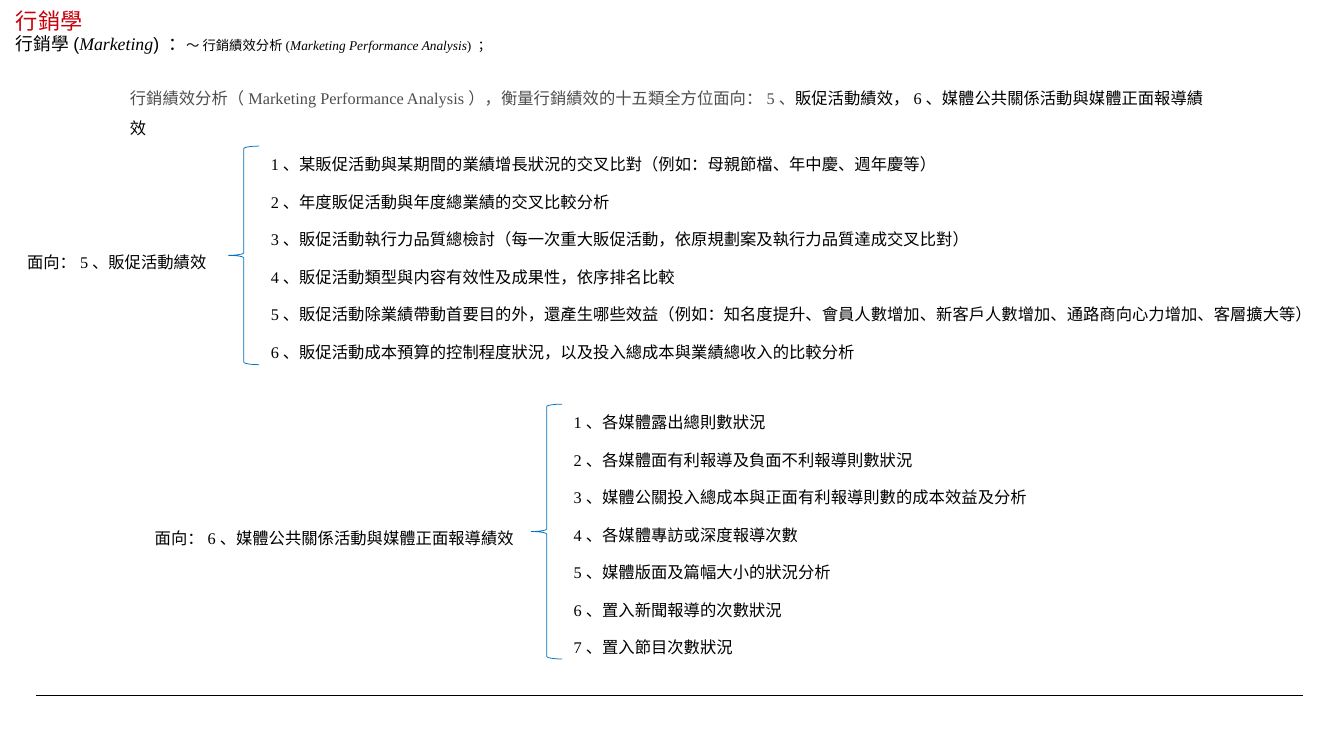
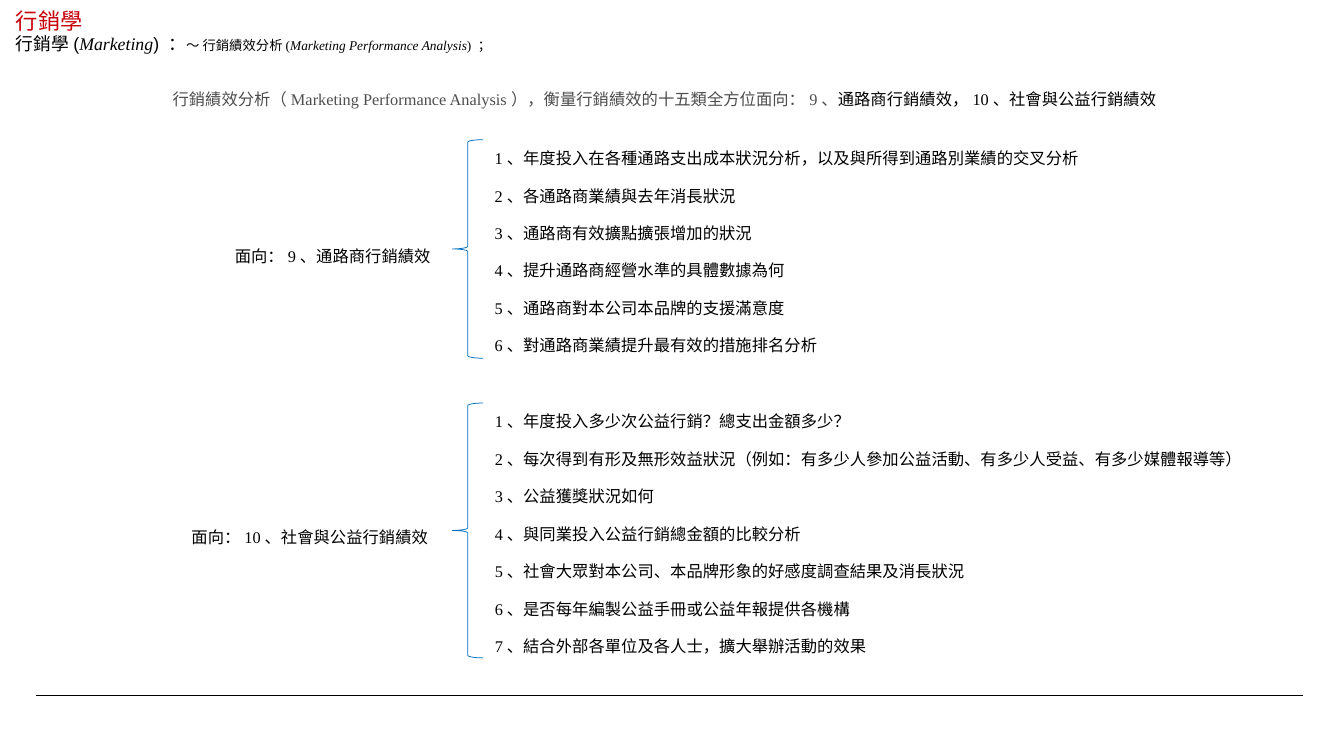
from lxml import etree
from pptx import Presentation
from pptx import util as u
from pptx.dml.color import RGBColor
from pptx.enum import shapes, text
from pptx.oxml.ns import qn

# Grid: 126 columns by 70.9 rows, each a tenth of an inch
UNIT = u.Inches(0.1)
COLUMNS, ROWS = 126, 70.9

RED = RGBColor(0xC7, 0x00, 0x0B)
GREY = RGBColor(0x4D, 0x4D, 0x4D)
BLACK = RGBColor(0x00, 0x00, 0x00)
BLUE = RGBColor(0x00, 0x70, 0xC0)
SANS, SERIF = "Arial", "Times New Roman"
TEXT_ROWS = 3.4


def grid(*lengths):
    return [round(length * UNIT) for length in lengths]


class Deck:
    """Holds the shared style and the current slide."""

    def __init__(self):
        self.prs = Presentation()
        self.prs.slide_width, self.prs.slide_height = grid(COLUMNS, ROWS)
        self.slide = None

    def new_slide(self):
        self.slide = self.prs.slides.add_slide(self.prs.slide_layouts[6])
        self.footer_rule()
        self.header()

    def add_text(self, left, top, width, height, runs, align=None, spacing=None):
        """Text box; each run is (words, size, font, colour, italic)."""
        frame = self.slide.shapes.add_textbox(
            *grid(left, top, width, height)).text_frame
        frame.word_wrap = True
        frame.auto_size = text.MSO_AUTO_SIZE.SHAPE_TO_FIT_TEXT
        paragraph = frame.paragraphs[0]
        paragraph.alignment = align
        paragraph.line_spacing = spacing
        for words, size, font, colour, italic in runs:
            run = paragraph.add_run()
            run.text = words
            run.font.size = u.Pt(size)
            run.font.name = font
            run.font.color.rgb = colour
            run.font.italic = italic
        return frame

    def body(self, left, top, width, *parts, align=None):
        """Body line; each part is (words, colour)."""
        runs = [(words, 11, SERIF, colour, False) for words, colour in parts]
        self.add_text(left, top, width, TEXT_ROWS, runs, align, 1.5)

    def footer_rule(self):
        rule = self.slide.shapes.add_connector(
            shapes.MSO_CONNECTOR.STRAIGHT, *grid(3.4, 65.2, 122.2, 65.2))
        rule.line.color.rgb = BLACK
        rule.line.width = u.Pt(0.5)
        etree.SubElement(rule._element.spPr, qn("a:effectLst"))

    def header(self):
        title = self.add_text(0.5, 0.7, 93.2, 2.4,
                              [("行銷學", 15, SANS, RED, False)])
        title.auto_size = text.MSO_AUTO_SIZE.NONE
        title.vertical_anchor = text.MSO_ANCHOR.MIDDLE
        self.add_text(0.5, 2.6, 104.3, 3, [
            ("行銷學(", 12, SANS, BLACK, False),
            ("Marketing", 12, SERIF, BLACK, True),
            (") ：", 12, SANS, BLACK, False),
            ("～ ", 9, SANS, BLACK, False),
            ("行銷績效分析(", 9, SERIF, BLACK, False),
            ("Marketing Performance Analysis", 9, SERIF, BLACK, True),
            (") ；", 9, SERIF, BLACK, False),
        ])

    def intro(self, left, top, width, aspects):
        (first, first_name), (second, second_name) = aspects
        self.body(
            left, top, width,
            ("行銷績效分析（Marketing Performance Analysis），"
             f"衡量行銷績效的十五類全方位面向：{first}、", GREY),
            (f"{first_name}，{second}、{second_name}", BLACK))

    def brace(self, left, top, height):
        brace = self.slide.shapes.add_shape(
            shapes.MSO_SHAPE.LEFT_BRACE, *grid(left, top, 2.9, height))
        brace.shadow.inherit = False
        brace.fill.background()
        brace.line.color.rgb = BLUE
        brace.line.width = u.Pt(0.5)

    def aspect(self, number, name, left, top, label_width, item_width, items):
        """Label ending at the brace, and the numbered measures after it."""
        height = TEXT_ROWS * len(items) + 0.1
        self.body(left - label_width, top + (height - TEXT_ROWS) / 2,
                  label_width, (f"面向：{number}、{name}", BLACK),
                  align=text.PP_ALIGN.CENTER)
        self.brace(left, top, height)
        for index, item in enumerate(items):
            self.body(left + 3, top - 0.6 + 3.51 * index, item_width,
                      (f"{index + 1}、{item}", BLACK))


# Intro place (left, top, width), then the aspects:
# number, name, brace left and top, label width, item width, measures
PAGES = [
    ((11.2, 6.9, 103.6), [
        (5, "販促活動績效", 21.4, 13.7, 20.9, 100.2, [
            "某販促活動與某期間的業績增長狀況的交叉比對（例如：母親節檔、年中慶、週年慶等）",
            "年度販促活動與年度總業績的交叉比較分析",
            "販促活動執行力品質總檢討（每一次重大販促活動，依原規劃案及執行力品質達成交叉比對）",
            "販促活動類型與内容有效性及成果性，依序排名比較",
            "販促活動除業績帶動首要目的外，還產生哪些效益（例如：知名度提升、會員人數增加、"
            "新客戶人數增加、通路商向心力增加、客層擴大等）",
            "販促活動成本預算的控制程度狀況，以及投入總成本與業績總收入的比較分析",
        ]),
        (6, "媒體公共關係活動與媒體正面報導績效", 49.8, 37.9, 36.9, 46.5, [
            "各媒體露出總則數狀況",
            "各媒體面有利報導及負面不利報導則數狀況",
            "媒體公關投入總成本與正面有利報導則數的成本效益及分析",
            "各媒體專訪或深度報導次數",
            "媒體版面及篇幅大小的狀況分析",
            "置入新聞報導的次數狀況",
            "置入節目次數狀況",
        ]),
    ]),
    ((15.2, 7, 95.7), [
        (9, "通路商行銷績效", 42.4, 13.1, 22.4, 58, [
            "年度投入在各種通路支出成本狀況分析，以及與所得到通路別業績的交叉分析",
            "各通路商業績與去年消長狀況",
            "通路商有效擴點擴張增加的狀況",
            "提升通路商經營水準的具體數據為何",
            "通路商對本公司本品牌的支援滿意度",
            "對通路商業績提升最有效的措施排名分析",
        ]),
        (10, "社會與公益行銷績效", 42.4, 37.8, 26.7, 72.2, [
            "年度投入多少次公益行銷？總支出金額多少？",
            "每次得到有形及無形效益狀況（例如：有多少人參加公益活動、有多少人受益、有多少媒體報導等）",
            "公益獲獎狀況如何",
            "與同業投入公益行銷總金額的比較分析",
            "社會大眾對本公司、本品牌形象的好感度調查結果及消長狀況",
            "是否每年編製公益手冊或公益年報提供各機構",
            "結合外部各單位及各人士，擴大舉辦活動的效果",
        ]),
    ]),
]


def main():
    deck = Deck()
    for intro_place, aspects in PAGES:
        deck.new_slide()
        deck.intro(*intro_place, [aspect[:2] for aspect in aspects])
        for aspect in aspects:
            deck.aspect(*aspect)
    deck.prs.save("out.pptx")


if __name__ == "__main__":
    main()
